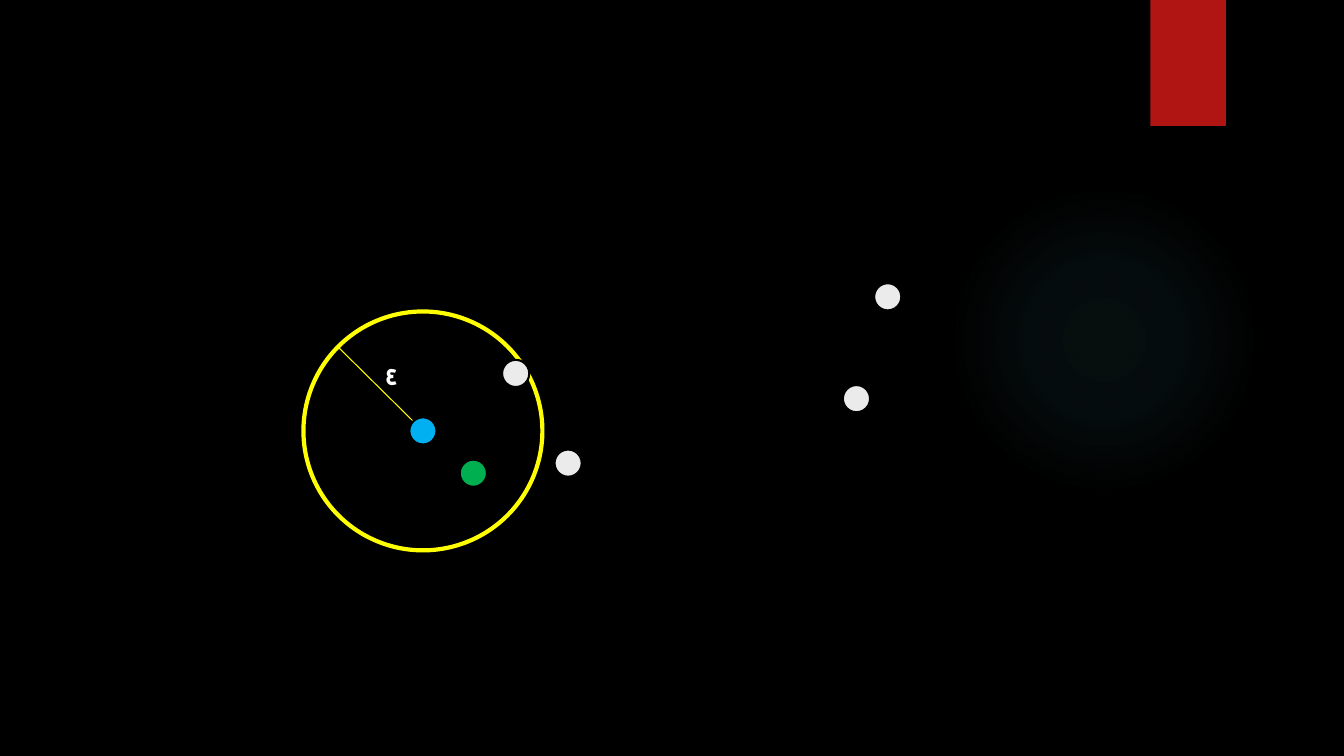
from pptx import Presentation
from pptx.dml.color import RGBColor
from pptx.enum.shapes import MSO_CONNECTOR, MSO_SHAPE
from pptx.enum.text import MSO_AUTO_SIZE
from pptx.oxml import parse_xml
from pptx.oxml.ns import nsdecls, qn
from pptx.util import Inches, Pt

COLORS = {
    "background": "000000",
    "glow": "50B9C1",
    "ribbon": "B01513",
    "radius": "FFFF00",
    "label": "FFFFFF",
    "center": "00B0F0",
    "neighbor": "00B050",
    "point": "EBEBEB",
}
FONT = "TeX Gyre Adventor"
POINT_SIZE = 0.27
GLOW_STOPS = [(0, 7), (36, 6), (69, 0)]
POINTS = [
    (4.06, 4.14, "center"),
    (4.56, 4.56, "neighbor"),
    (4.98, 3.57, "point"),
    (8.36, 3.82, "point"),
    (8.67, 2.81, "point"),
    (5.5, 4.46, "point"),
]


def rgb(name):
    return RGBColor.from_string(COLORS[name])


def add_figure(slide, kind, left, top, width, height, fill=None, line=None, weight=0):
    shape = slide.shapes.add_shape(
        kind, Inches(left), Inches(top), Inches(width), Inches(height)
    )
    shape.shadow.inherit = False
    if fill:
        shape.fill.solid()
        shape.fill.fore_color.rgb = rgb(fill)
    else:
        shape.fill.background()
    if line:
        shape.line.color.rgb = rgb(line)
        shape.line.width = Pt(weight)
    else:
        shape.line.fill.background()
    return shape


def add_glow(slide, left, top, size):
    shape = add_figure(slide, MSO_SHAPE.OVAL, left, top, size, size)
    stops = "".join(
        f'<a:gs pos="{position * 1000}"><a:srgbClr val="{COLORS["glow"]}">'
        f'<a:alpha val="{alpha * 1000}"/></a:srgbClr></a:gs>'
        for position, alpha in GLOW_STOPS
    )
    gradient = parse_xml(
        f'<a:gradFill {nsdecls("a")}><a:gsLst>{stops}</a:gsLst><a:path path="circle">'
        '<a:fillToRect l="50000" t="50000" r="50000" b="50000"/></a:path></a:gradFill>'
    )
    properties = shape.element.spPr
    properties.replace(properties.find(qn("a:noFill")), gradient)


def add_radius(slide, start, end):
    connector = slide.shapes.add_connector(
        MSO_CONNECTOR.STRAIGHT, *map(Inches, (*start, *end))
    )
    connector.line.color.rgb = rgb("radius")
    connector.line.width = Pt(0.75)
    connector.element.spPr.append(parse_xml(f'<a:effectLst {nsdecls("a")}/>'))


def add_label(slide, text, left, top, width, height):
    box = slide.shapes.add_textbox(
        Inches(left), Inches(top), Inches(width), Inches(height)
    )
    frame = box.text_frame
    frame.word_wrap = False
    frame.auto_size = MSO_AUTO_SIZE.SHAPE_TO_FIT_TEXT
    paragraph = frame.paragraphs[0]
    paragraph.text = text
    paragraph.font.name = FONT
    paragraph.font.size = Pt(18)
    paragraph.font.bold = True
    paragraph.font.color.rgb = rgb("label")


def main():
    presentation = Presentation()
    presentation.slide_width = Inches(13.33)
    presentation.slide_height = Inches(7.5)
    slide = presentation.slides.add_slide(presentation.slide_layouts[6])
    slide.background.fill.solid()
    slide.background.fill.fore_color.rgb = rgb("background")

    add_glow(slide, 9.41, 1.83, 3.08)
    add_figure(slide, MSO_SHAPE.RECTANGLE, 11.41, 0, 0.75, 1.25, fill="ribbon")
    add_figure(slide, MSO_SHAPE.OVAL, 3.01, 3.09, 2.37, 2.37, line="radius", weight=3)
    add_radius(slide, (3.35, 3.44), (4.1, 4.18))
    add_label(slide, "ε", 3.72, 3.52, 0.31, 0.4)
    for left, top, color in POINTS:
        add_figure(
            slide, MSO_SHAPE.OVAL, left, top, POINT_SIZE, POINT_SIZE,
            fill=color, line="background", weight=1.5,
        )
    presentation.save("out.pptx")


if __name__ == "__main__":
    main()
